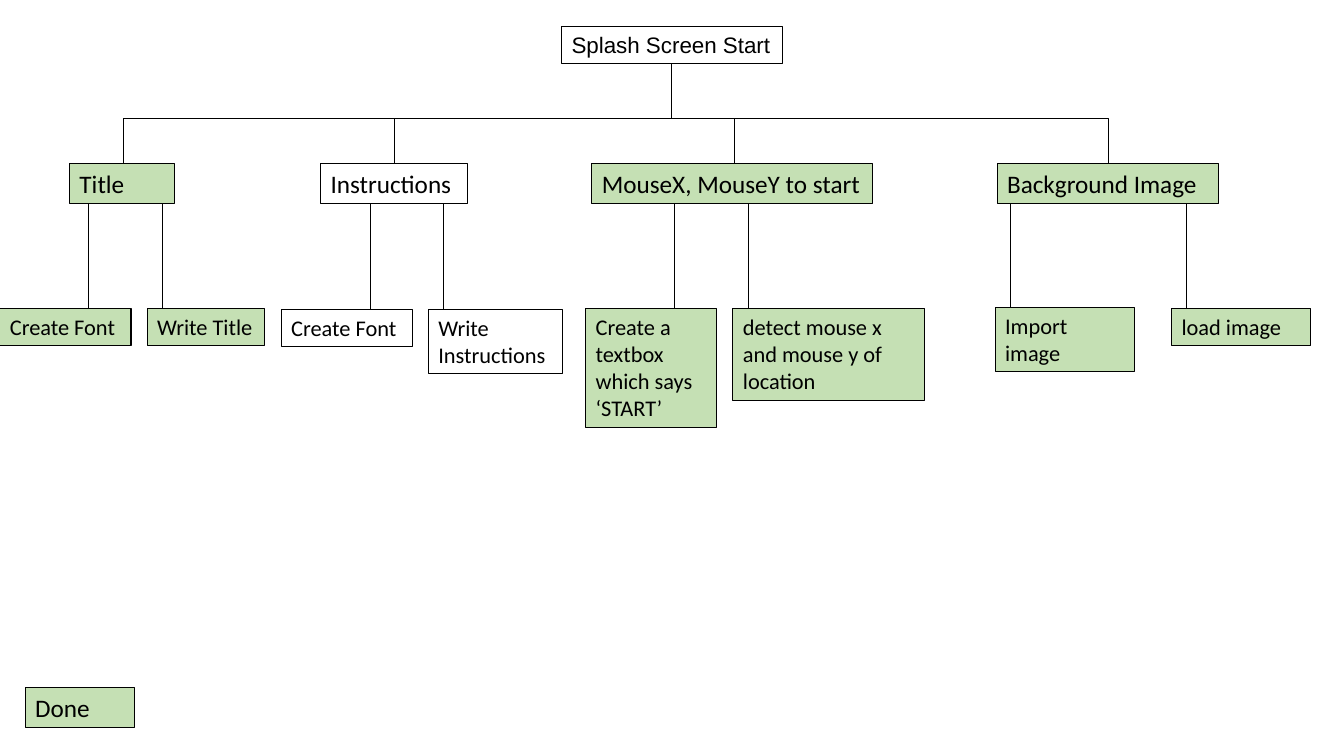
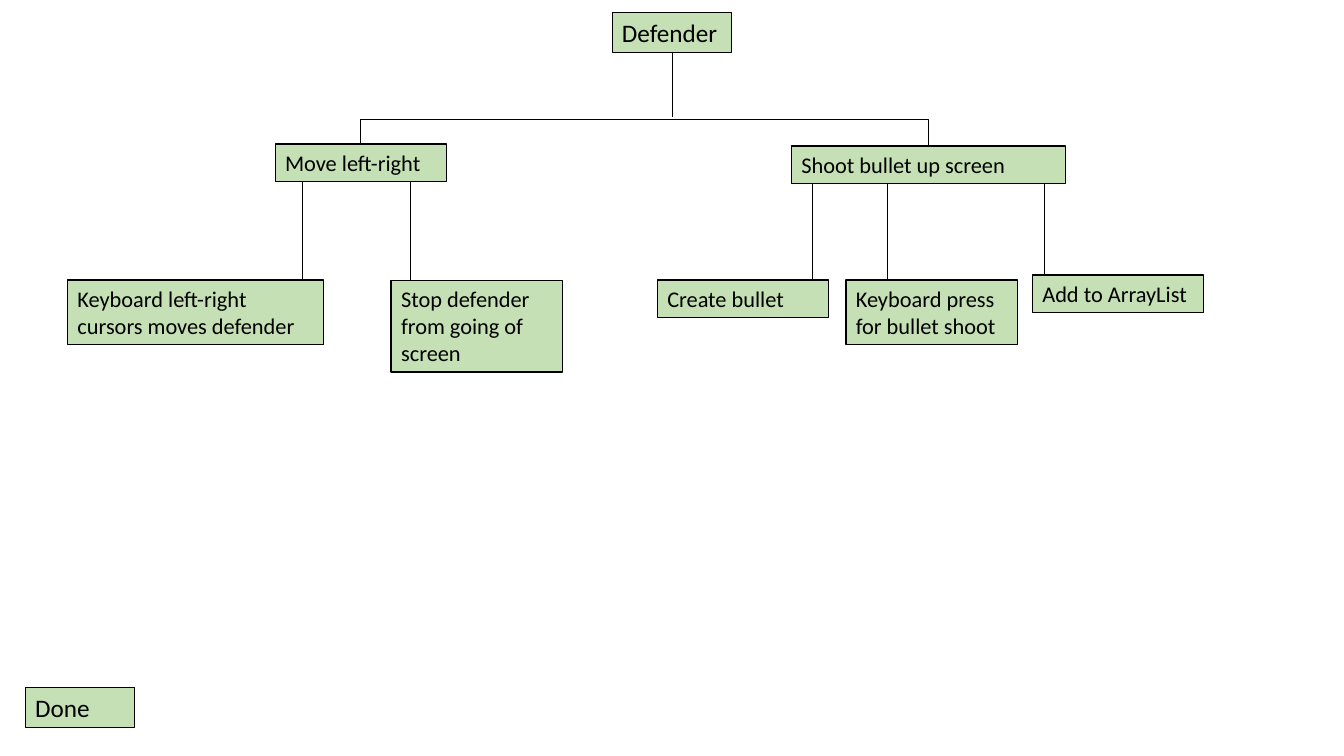
from lxml import etree
from pptx import Presentation
from pptx.dml.color import RGBColor
from pptx.enum import shapes, text
from pptx.oxml import ns
from pptx.util import Inches, Pt

COLORS = {"ink": "000000", "done": "C5E0B4"}
LINE_WIDTH = 0.5
RAIL_STEP = 0.01

charts = [
    {
        "root": ("Splash Screen Start", 5.57, 0.26, 2.19, 0.37, 16, False, "Arial"),
        "stem": (6.66, 0.63, 1.17),
        "rail": (1.22, 10.99, 1.17),
        "drops": [3.91, 7.28],
        "branch_size": 18,
        "branch_height": 0.4,
        "border": 0.75,
        "branches": [
            ("Title ", 0.69, 1.62, 1.04, True, [
                ("Create Font", 0, 3.06, 1.3, 0.37, 0.88),
                ("Write Title", 1.46, 3.06, 1.16, 0.37, 1.61)]),
            ("Instructions ", 3.18, 1.62, 1.46, False, [
                ("Create Font", 2.79, 3.07, 1.3, 0.37, 3.67),
                ("Write Instructions", 4.25, 3.07, 1.33, 0.64, 4.4)]),
            ("MouseX, MouseY to start ", 5.87, 1.62, 2.78, True, [
                ("Create a textbox which says ‘START’", 5.81, 3.06, 1.3, 1.18, 6.69),
                ("detect mouse x and mouse y of location ", 7.27, 3.06, 1.9, 0.91, 7.42)]),
            ("Background Image ", 9.89, 1.62, 2.2, True, [
                ("Import image", 9.87, 3.05, 1.38, 0.64, 10.02),
                ("load image", 11.62, 3.06, 1.38, 0.37, 11.77)]),
        ],
    },
    {
        "root": ("Defender", 6.07, 0.12, 1.19, 0.4, 18, True, "Calibri"),
        "stem": (6.67, 0.52, 1.16),
        "rail": (3.57, 9.21, 1.18),
        "drops": [],
        "branch_size": 16,
        "branch_height": 0.37,
        "border": 1,
        "branches": [
            ("Move left-right", 2.73, 1.43, 1.7, True, [
                ("Keyboard left-right cursors moves defender", 0.67, 2.78, 2.54, 0.64, 3),
                ("Stop defender from going of screen", 3.88, 2.78, 1.7, 0.91, 4.07)]),
            ("Shoot bullet up screen", 7.85, 1.45, 2.72, True, [
                ("Create bullet", 6.52, 2.78, 1.7, 0.37, 8.06),
                ("Keyboard press for bullet shoot", 8.39, 2.78, 1.7, 0.64, 8.8),
                ("Add to ArrayList", 10.24, 2.73, 1.7, 0.37, 10.36)]),
        ],
    },
]


def add_step(slide, label, x, y, width, height, size, done, font="Calibri", border=0.75):
    step = slide.shapes.add_textbox(*map(Inches, (x, y, width, height)))
    step.line.color.rgb = RGBColor.from_string(COLORS["ink"])
    step.line.width = Pt(border)
    if done:
        step.fill.solid()
        step.fill.fore_color.rgb = RGBColor.from_string(COLORS["done"])
    step.text_frame.word_wrap = True
    step.text_frame.auto_size = text.MSO_AUTO_SIZE.SHAPE_TO_FIT_TEXT
    run = step.text_frame.paragraphs[0].add_run()
    run.text = label
    run.font.color.rgb = RGBColor.from_string(COLORS["ink"])
    for name, value in {"name": font, "size": Pt(size)}.items():
        setattr(run.font, name, value)


def add_link(slide, x1, y1, x2, y2, kind=shapes.MSO_CONNECTOR.STRAIGHT):
    link = slide.shapes.add_connector(kind, *map(Inches, (x1, y1, x2, y2)))
    link.line.color.rgb = RGBColor.from_string(COLORS["ink"])
    link.line.width = Pt(LINE_WIDTH)
    etree.SubElement(link._element.spPr, ns.qn("a:effectLst"))
    return link


deck = Presentation()
deck.slide_width, deck.slide_height = Inches(13.33), Inches(7.5)

for chart in charts:
    slide = deck.slides.add_slide(deck.slide_layouts[6])
    branch_top = chart["branches"][0][2]
    add_step(slide, *chart["root"])

    stem_x, stem_top, stem_bottom = chart["stem"]
    add_link(slide, stem_x, stem_top, stem_x, stem_bottom)

    left, right, rail_y = chart["rail"]
    center, half_span = (left + right) / 2, (right - left) / 2
    rail = add_link(slide, center + RAIL_STEP / 2, branch_top - half_span,
                    center - RAIL_STEP / 2, branch_top + half_span,
                    shapes.MSO_CONNECTOR.ELBOW)
    rail_props = rail._element.spPr
    rail_props.find(ns.qn("a:xfrm")).set("rot", str(270 * 60000))
    bend = round((rail_y - branch_top) / RAIL_STEP * 100000)
    guides = rail_props.find(ns.qn("a:prstGeom")).find(ns.qn("a:avLst"))
    etree.SubElement(guides, ns.qn("a:gd"), name="adj1", fmla=f"val {bend}")

    for drop_x in chart["drops"]:
        add_link(slide, drop_x, branch_top, drop_x, rail_y)

    for label, x, y, width, done, tasks in chart["branches"]:
        height = chart["branch_height"]
        add_step(slide, label, x, y, width, height, chart["branch_size"], done,
                 border=chart["border"])
        for task, task_x, task_y, task_width, task_height, link_x in tasks:
            add_step(slide, task, task_x, task_y, task_width, task_height, 16, done,
                     border=chart["border"])
            add_link(slide, link_x, task_y, link_x, y + height)

    add_step(slide, "Done", 0.25, 6.82, 1.08, 0.4, 18, True)

deck.save("out.pptx")
